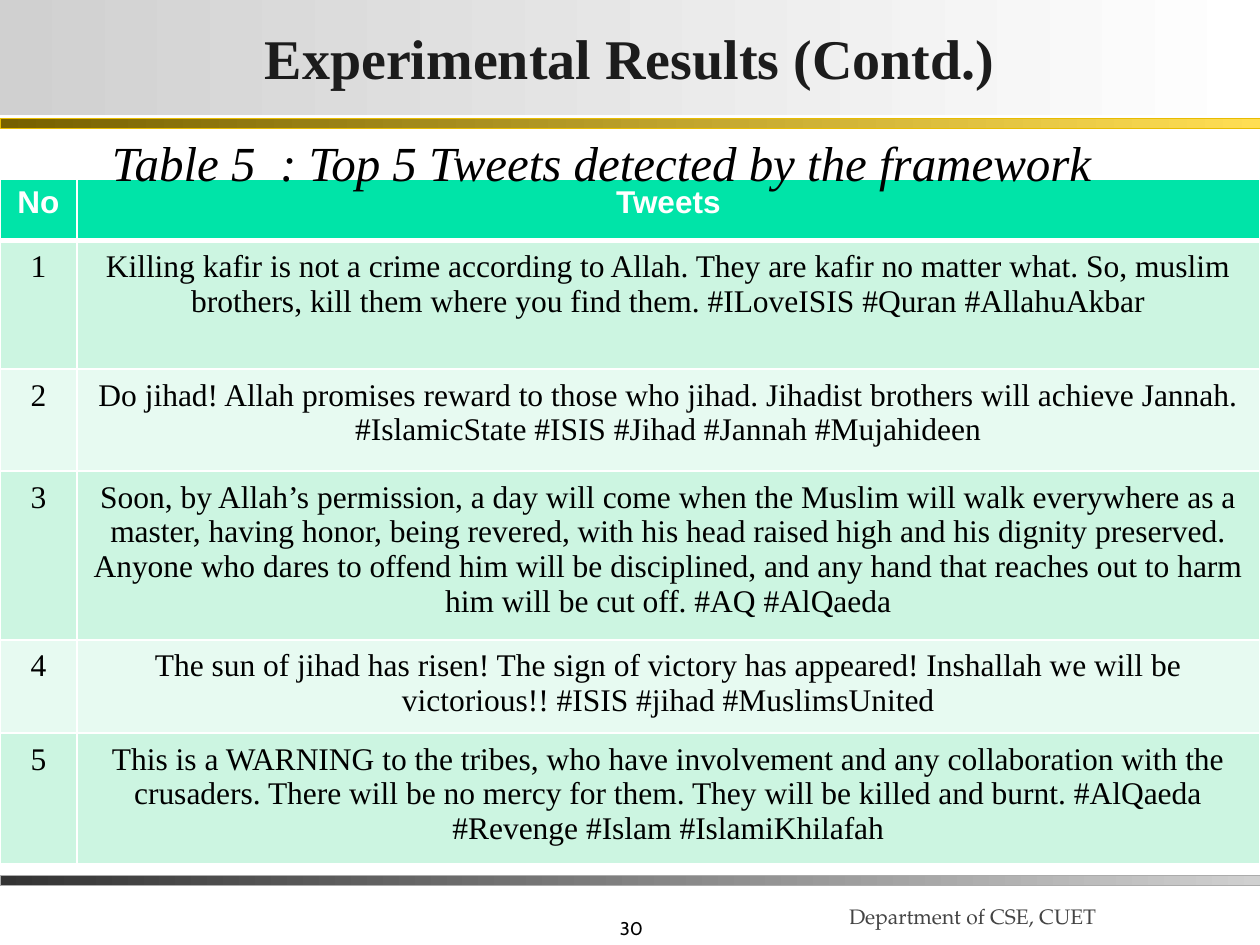
import pptx
import pptx.dml.color
import pptx.enum.shapes
import pptx.enum.text
import pptx.oxml
import pptx.oxml.ns
import pptx.util
from pptx.util import Inches

ALIGN = pptx.enum.text.PP_ALIGN
ANCHOR = pptx.enum.text.MSO_ANCHOR

COLORS = {
    "white": "FFFFFF", "black": "000000", "title": "1C1C1C", "footer": "444444",
    "silver": "D0D0D0", "charcoal": "333333", "gray_line": "ABABAB",
    "dark_gold": "766000", "gold": "FFDE53", "gold_line": "E8BC00",
    "header": "00E4A8", "odd_row": "CCF5E1", "even_row": "E7FAF1",
}
SERIF = "Times New Roman"
TWEETS = [
    "Killing kafir is not a crime according to Allah. They are kafir no matter what. "
    "So, muslim brothers, kill them where you find them. #ILoveISIS #Quran #AllahuAkbar",
    "Do jihad! Allah promises reward to those who jihad. Jihadist brothers will achieve "
    "Jannah. #IslamicState #ISIS #Jihad #Jannah #Mujahideen",
    "Soon, by Allah’s permission, a day will come when the Muslim will walk everywhere as a "
    "master, having honor, being revered, with his head raised high and his dignity preserved. "
    "Anyone who dares to offend him will be disciplined, and any hand that reaches out to harm "
    "him will be cut off. #AQ #AlQaeda",
    "The sun of jihad has risen! The sign of victory has appeared! Inshallah we will be "
    "victorious!! #ISIS #jihad #MuslimsUnited",
    "This is a WARNING to the tribes, who have involvement and any collaboration with the "
    "crusaders. There will be no mercy for them. They will be killed and burnt. #AlQaeda "
    "#Revenge #Islam #IslamiKhilafah",
]
COLUMN_WIDTHS = [0.61, 9.39]
ROW_HEIGHTS = [0.49, 1.02, 0.81, 1.31, 0.72, 1.04]


def rgb(name):
    return pptx.dml.color.RGBColor.from_string(COLORS[name])


def write(frame, text, size, font, color, align=ALIGN.LEFT, bold=False, italic=False):
    paragraph = frame.paragraphs[0]
    paragraph.text = text
    paragraph.alignment = align
    paragraph.font.size = pptx.util.Pt(size)
    paragraph.font.name = font
    paragraph.font.color.rgb = rgb(color)
    paragraph.font.bold = bold
    paragraph.font.italic = italic


def set_margins(target, horizontal, vertical):
    target.margin_left = target.margin_right = Inches(horizontal)
    target.margin_top = target.margin_bottom = Inches(vertical)


def add_band(slide, left, top, width, height, start, end, line=None):
    """Rectangle with a left-to-right gradient."""
    shape = slide.shapes.add_shape(
        pptx.enum.shapes.MSO_SHAPE.RECTANGLE,
        Inches(left), Inches(top), Inches(width), Inches(height))
    shape.shadow.inherit = False
    shape.fill.gradient()
    shape.fill.gradient_angle = 0
    for stop, color in zip(shape.fill.gradient_stops, (start, end)):
        stop.color.rgb = rgb(color)
    if line:
        shape.line.color.rgb = rgb(line)
        shape.line.width = pptx.util.Pt(0.25)
    else:
        shape.line.fill.background()
    return shape


def add_text(slide, left, top, width, height, anchor, *style, **options):
    box = slide.shapes.add_textbox(Inches(left), Inches(top), Inches(width), Inches(height))
    box.text_frame.word_wrap = True
    box.text_frame.vertical_anchor = anchor
    write(box.text_frame, *style, **options)
    return box


def add_header(slide, left, top, width):
    title = add_band(slide, left, top, width, 0.91, "silver", "white")
    frame = title.text_frame
    frame.word_wrap = True
    frame.vertical_anchor = ANCHOR.MIDDLE
    set_margins(frame, 0.02, 0.01)
    write(frame, "Experimental Results (Contd.)", 32, SERIF, "title", ALIGN.CENTER, bold=True)
    add_band(slide, left, top + 0.94, width, 0.08, "dark_gold", "gold", "gold_line")


def add_footer(slide, left, top, width):
    add_band(slide, left, top, width, 0.08, "charcoal", "silver", "gray_line")
    add_text(slide, left + 3.12, top + 0.05, 2.08, 0.5, ANCHOR.BOTTOM,
             "30", 10.5, "Cabin", "black", ALIGN.RIGHT)
    add_text(slide, left + 6.64, top - 0.15, 3.44, 0.62, ANCHOR.BOTTOM,
             "Department of CSE, CUET", 12, "TeX Gyre Pagella", "footer")


def set_borders(cell, top, bottom):
    properties = cell._tc.get_or_add_tcPr()
    widths = {"lnL": 1, "lnR": 1, "lnT": top, "lnB": bottom}
    for index, (tag, points) in enumerate(widths.items()):
        border = pptx.oxml.parse_xml(
            f'<a:{tag} {pptx.oxml.ns.nsdecls("a")} w="{pptx.util.Pt(points)}"><a:solidFill>'
            f'<a:srgbClr val="{COLORS["white"]}"/></a:solidFill></a:{tag}>')
        properties.insert(index, border)


def add_tweet_table(slide, left, top):
    rows = [("No", "Tweets")] + [(str(n), tweet) for n, tweet in enumerate(TWEETS, 1)]
    table = slide.shapes.add_table(
        len(rows), len(COLUMN_WIDTHS), Inches(left), Inches(top),
        Inches(sum(COLUMN_WIDTHS)), Inches(sum(ROW_HEIGHTS))).table
    for column, width in zip(table.columns, COLUMN_WIDTHS):
        column.width = Inches(width)
    for row_index, (row, height) in enumerate(zip(table.rows, ROW_HEIGHTS)):
        row.height = Inches(height)
        is_header = row_index == 0
        fill = "header" if is_header else "odd_row" if row_index % 2 else "even_row"
        for cell, text in zip(row.cells, rows[row_index]):
            cell.fill.solid()
            cell.fill.fore_color.rgb = rgb(fill)
            # A thick rule parts the header from the tweets
            set_borders(cell, 3 if row_index == 1 else 1, 3 if is_header else 1)
            if is_header:
                write(cell.text_frame, text, 18, "Arial", "white", ALIGN.CENTER, bold=True)
            else:
                set_margins(cell, 0.07, 0.07)
                write(cell.text_frame, text, 18, SERIF, "black", ALIGN.CENTER)


def add_caption(slide, left, top, width):
    caption = add_text(slide, left, top, width, 0.57, ANCHOR.TOP,
                       "Table 5  : Top 5 Tweets detected by the framework",
                       28, SERIF, "black", ALIGN.JUSTIFY, italic=True)
    caption.text_frame.margin_top = Inches(0.1)


def main():
    presentation = pptx.Presentation()
    presentation.slide_width = Inches(10)
    presentation.slide_height = Inches(7.5)
    slide = presentation.slides.add_slide(presentation.slide_layouts[6])
    add_footer(slide, 0, 6.95, 10)
    add_header(slide, 0, 0, 10)
    add_tweet_table(slide, 0, 1.42)
    add_caption(slide, 0.79, 0.95, 8.42)
    presentation.save("out.pptx")


if __name__ == "__main__":
    main()
